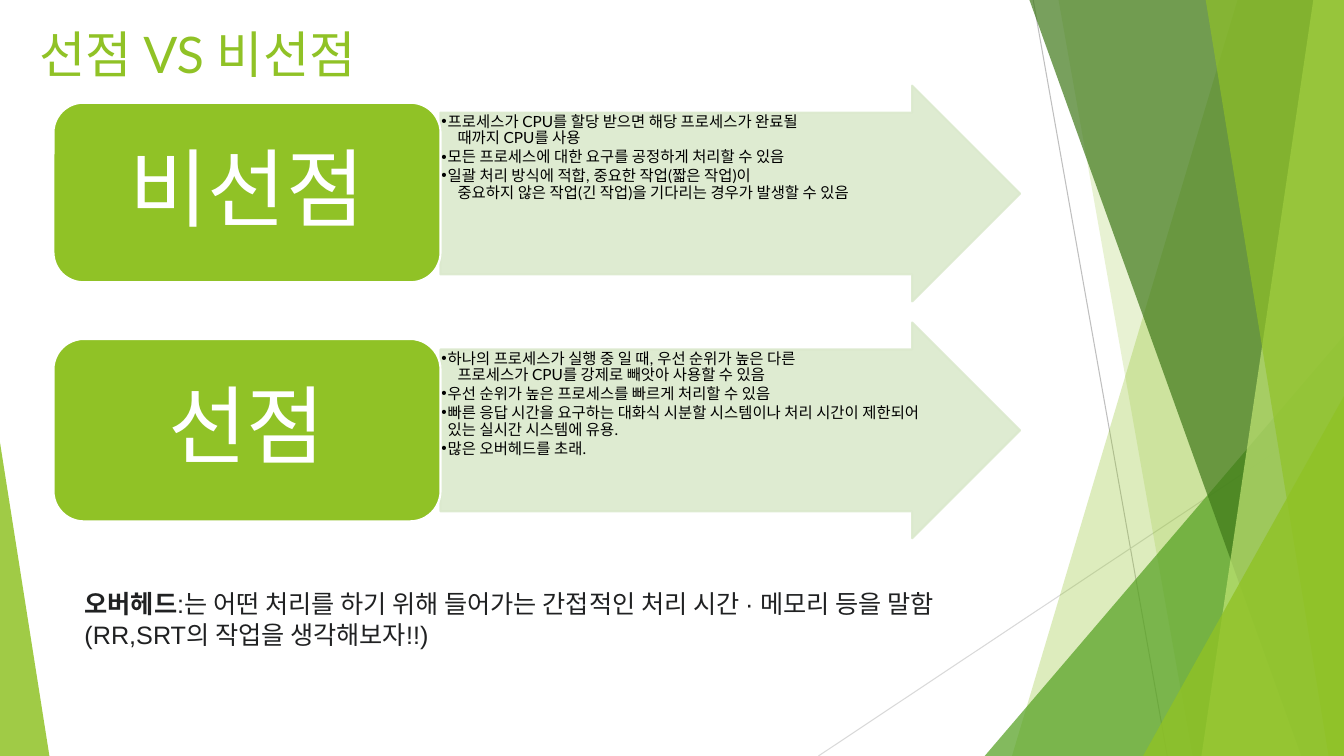
"""Build a slide comparing non-preemptive and preemptive CPU scheduling."""
from copy import deepcopy

from lxml import etree
from pptx import Presentation
from pptx import util as u
from pptx.dml.color import RGBColor
from pptx.enum import shapes, text
from pptx.oxml import ns

THEME = {
    "green": "90C226", "leaf": "54A021", "forest": "3F7819", "lime": "C0E474",
    "pale": "DBE9CD", "white": "FFFFFF", "rule": "BFBFBF", "faint": "D9D9D9",
    "title": ({"name": "Lato", "size": u.Pt(36), "bold": False}, "90C226"),
    "card": ({"name": "Lato", "size": u.Pt(61), "bold": False}, "FFFFFF"),
    "list": ({"name": "Lato", "size": u.Pt(11), "bold": False}, "000000"),
    "note": ({"name": "Arial", "size": u.Pt(18), "bold": False}, "202122"),
}


def paint(shape, color, opacity=100, edge=None):
    """Fill a shape, outline it if an edge colour is given, and set its opacity."""
    shape.shadow.inherit = False
    shape.fill.solid()
    shape.fill.fore_color.rgb = RGBColor.from_string(THEME[color])
    if edge:
        shape.line.color.rgb = RGBColor.from_string(THEME[edge])
        shape.line.width = u.Pt(1.5)
    else:
        shape.line.fill.background()
    if opacity < 100:
        for tint in shape.element.spPr.iter(ns.qn("a:srgbClr")):
            etree.SubElement(tint, ns.qn("a:alpha"), val=str(opacity * 1000))


def style(para, role):
    """Give every run and line break of a paragraph the format of its role."""
    values, color = THEME[role]
    for span in para.runs:
        for name, value in values.items():
            setattr(span.font, name, value)
        span.font.color.rgb = RGBColor.from_string(color)
    for line_break in para._p.findall(ns.qn("a:br")):
        line_break.append(deepcopy(para.runs[0].font._element))


deck = Presentation()
deck.slide_width, deck.slide_height = u.Pt(960), u.Pt(540)
page = deck.slides.add_slide(deck.slide_layouts[3])
title, *bodies = page.placeholders

for x1, y1, x2, y2, color in [(738, 0, 833.8, 540, "rule"), (960, 290.2, 584.6, 540, "faint")]:
    line = page.shapes.add_connector(
        shapes.MSO_CONNECTOR.STRAIGHT, u.Pt(x1), u.Pt(y1), u.Pt(x2), u.Pt(y2))
    line.line.color.rgb = RGBColor.from_string(THEME[color])
    line.line.width = u.Pt(0.75)
    etree.SubElement(line.element.spPr, ns.qn("a:effectLst"))

BANDS = [
    ("band", (884.2, 722.9), "green", 30),
    ("band", (756, 851.8), "green", 20),
    ("triangle", (703.4, 239.8, 256.6, 300.2, 1), "leaf", 72),
    ("band", (735.1, 929.5), "forest", 70),
    ("band", (938.2, 858.2), "lime", 70),
    ("band", (861.1, 949), "green", 65),
    ("triangle", (816.5, 283, 143.5, 257, 1), "green", 80),
    ("triangle", (0, 316.1, 35.3, 223.9, 0), "green", 85),
]
for kind, place, color, opacity in BANDS:
    if kind == "band":
        top_x, bottom_x = place
        outline = page.shapes.build_freeform(u.Pt(top_x), u.Pt(-0.7))
        corners = [(960, -0.7), (960, 540), (bottom_x, 540)]
        outline.add_line_segments([(u.Pt(x), u.Pt(y)) for x, y in corners])
        facet = outline.convert_to_shape()
    else:
        *frame, apex = place
        facet = page.shapes.add_shape(
            shapes.MSO_SHAPE.ISOSCELES_TRIANGLE, *[u.Pt(v) for v in frame])
        facet.adjustments[0] = apex
    paint(facet, color, opacity)

title.left, title.top, title.width, title.height = [u.Pt(v) for v in (20.9, 13, 676.8, 55.4)]
title.text_frame.text = "선점 VS 비선점"
title.text_frame.vertical_anchor = text.MSO_ANCHOR.TOP
title.text_frame.auto_size = text.MSO_AUTO_SIZE.NONE
title.text_frame.paragraphs[0].alignment = text.PP_ALIGN.LEFT
style(title.text_frame.paragraphs[0], "title")

ROWS = [
    ("비선점", 73.4, 128.2, [
        "프로세스가 CPU를 할당 받으면 해당 프로세스가 완료될\v\t때까지 CPU를 사용",
        "모든 프로세스에 대한 요구를 공정하게 처리할 수 있음",
        "일괄 처리 방식에 적합, 중요한 작업(짧은 작업)이\v"
        "\t중요하지 않은 작업(긴 작업)을 기다리는 경우가 발생할 수 있음",
    ]),
    ("선점", 242.1, 130.3, [
        "하나의 프로세스가 실행 중 일 때, 우선 순위가 높은 다른\v"
        "\t프로세스가 CPU를 강제로 빼앗아 사용할 수 있음",
        "우선 순위가 높은 프로세스를 빠르게 처리할 수 있음",
        "빠른 응답 시간을 요구하는 대화식 시분할 시스템이나 처리 시간이 제한되어 "
        "있는 실시간 시스템에 유용.",
        "많은 오버헤드를 초래.",
    ]),
]
for row, (body, (name, card_top, card_height, points)) in enumerate(zip(bodies, ROWS)):
    arrow_top = 61.2 + row * 169.2
    arrow = page.shapes.add_shape(
        shapes.MSO_SHAPE.RIGHT_ARROW, u.Pt(314.6), u.Pt(arrow_top), u.Pt(414), u.Pt(154.1))
    arrow.adjustments[0], arrow.adjustments[1] = 0.75, 0.5
    paint(arrow, "pale", 90, "pale")

    body.left, body.top = u.Pt(314.6), u.Pt(arrow_top + 19.4)
    body.width, body.height = u.Pt(356.4), u.Pt(115.2)
    body.element.getparent().append(body.element)
    frame = body.text_frame
    frame.auto_size = text.MSO_AUTO_SIZE.NONE
    for side in ("left", "top", "right", "bottom"):
        setattr(frame, f"margin_{side}", u.Pt(0.7))
    for index, point in enumerate(points):
        para = frame.add_paragraph() if index else frame.paragraphs[0]
        para.text = point
        para.level = 1
        props = para._p.get_or_add_pPr()
        props.set("marL", str(u.Pt(4.5)))
        props.set("indent", str(u.Pt(-4.5)))
        etree.SubElement(props, ns.qn("a:buChar"), char="•")
        tabs = etree.SubElement(props, ns.qn("a:tabLst"))
        etree.SubElement(tabs, ns.qn("a:tab"), pos=str(u.Pt(11.5)), algn="l")
        spacing = {"line_spacing": 0.9, "space_before": u.Pt(0), "space_after": u.Pt(1.65)}
        for key, value in spacing.items():
            setattr(para, key, value)
        style(para, "list")

    card = page.shapes.add_shape(
        shapes.MSO_SHAPE.ROUNDED_RECTANGLE,
        u.Pt(38.2), u.Pt(card_top), u.Pt(276.5), u.Pt(card_height))
    paint(card, "green", edge="white")
    card.text_frame.text = name
    card.text_frame.vertical_anchor = text.MSO_ANCHOR.MIDDLE
    label = card.text_frame.paragraphs[0]
    label.alignment = text.PP_ALIGN.CENTER
    label.line_spacing = 0.9
    style(label, "card")

note = page.shapes.add_textbox(u.Pt(53.3), u.Pt(416.9), u.Pt(725), u.Pt(51.1)).text_frame
note.word_wrap = True
note.auto_size = text.MSO_AUTO_SIZE.SHAPE_TO_FIT_TEXT
definition, example = note.paragraphs[0], note.add_paragraph()
for part in ("오버헤드", ":는 어떤 처리를 하기 위해 들어가는 간접적인 처리 시간 · 메모리 등을 말함"):
    definition.add_run().text = part
example.text = "(RR,SRT의 작업을 생각해보자!!)"
for para in (definition, example):
    style(para, "note")
definition.runs[0].font.bold = True

deck.save("out.pptx")
